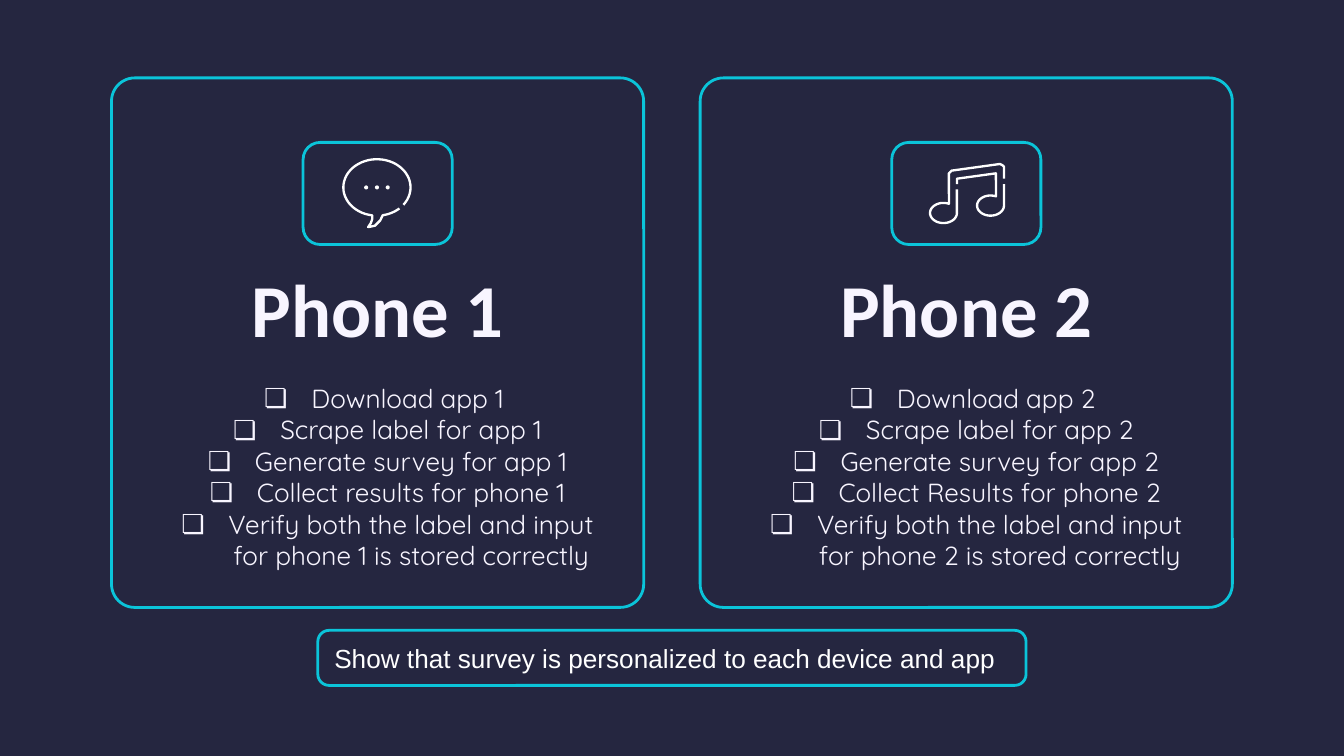
from dataclasses import dataclass
from math import cos, radians, sin

from lxml import etree
from pptx import Presentation
from pptx.dml.color import RGBColor
from pptx.enum.shapes import MSO_SHAPE
from pptx.enum.text import MSO_ANCHOR, MSO_AUTO_SIZE, PP_ALIGN
from pptx.oxml.ns import qn
from pptx.util import Inches, Pt

ROUNDED, OVAL = MSO_SHAPE.ROUNDED_RECTANGLE, MSO_SHAPE.OVAL
MIDDLE = MSO_ANCHOR.MIDDLE
LEFT, CENTER = PP_ALIGN.LEFT, PP_ALIGN.CENTER
NO_FIT, SHRINK = MSO_AUTO_SIZE.NONE, MSO_AUTO_SIZE.TEXT_TO_FIT_SHAPE


@dataclass(frozen=True)
class Theme:
    background: RGBColor = RGBColor.from_string("252640")
    accent: RGBColor = RGBColor.from_string("0BC4D9")
    text: RGBColor = RGBColor.from_string("F8F5FF")
    white: RGBColor = RGBColor.from_string("FFFFFF")
    heading: tuple = ("Calibri", 40, True)
    steps: tuple = ("Quicksand", 14, False)
    note: tuple = ("Arial", 14, False)
    border: float = 1.5
    icon_stroke: float = 1.25


theme = Theme()

# Grid: two cards between equal side margins
slide_w, slide_h = 10, 5.625
margin, card_top, card_w, card_h = 0.83, 0.58, 3.96, 3.94
card_pitch = slide_w - 2 * margin - card_w
badge_top, badge_w, badge_h = 1.06, 1.11, 0.76
text_w, heading_top, heading_h, steps_top, steps_h = 3.55, 2.03, 0.52, 2.73, 1.63
note_top, note_w, note_h = 4.69, 5.27, 0.41


def add_frame(left, top, width, height, rounding):
    frame = slide.shapes.add_shape(
        ROUNDED, Inches(left), Inches(top), Inches(width), Inches(height))
    frame.adjustments[0] = rounding
    frame.shadow.inherit = False
    frame.fill.background()
    frame.line.color.rgb = theme.accent
    frame.line.width = Pt(theme.border)
    return frame


def write(holder, lines, style, color, align, fit=NO_FIT, bullet=None, after=0):
    frame = holder.text_frame
    frame.word_wrap = True
    frame.auto_size = fit
    frame.vertical_anchor = MIDDLE
    frame.margin_left = frame.margin_right = Inches(0.1)
    frame.margin_top = frame.margin_bottom = Inches(0.1)
    for number, line in enumerate(lines):
        paragraph = frame.add_paragraph() if number else frame.paragraphs[0]
        paragraph.alignment = align
        paragraph.space_before = Pt(0)
        paragraph.space_after = Pt(after)
        if bullet:
            properties = paragraph._p.get_or_add_pPr()
            properties.set("marL", str(Inches(0.5)))
            properties.set("indent", str(-Inches(0.35)))
            tint = etree.SubElement(properties, qn("a:buClr"))
            etree.SubElement(tint, qn("a:srgbClr"), val=str(color))
            etree.SubElement(properties, qn("a:buFont"), typeface=style[0])
            etree.SubElement(properties, qn("a:buChar"), char=bullet)
        run = paragraph.add_run()
        run.text = line
        run.font.name, run.font.bold = style[0], style[2]
        run.font.size = Pt(style[1])
        run.font.color.rgb = color


prs = Presentation()
prs.slide_width, prs.slide_height = Inches(slide_w), Inches(slide_h)
slide = prs.slides.add_slide(prs.slide_layouts.get_by_name("Comparison"))
slide.background.fill.solid()
slide.background.fill.fore_color.rgb = theme.background
title = slide.shapes.title._element
title.getparent().remove(title)

# Cards with badge, heading and checklist
for column, results in enumerate(("results", "Results")):
    phone = column + 1
    card_left = margin + column * card_pitch
    add_frame(card_left, card_top, card_w, card_h, 0.044)
    add_frame(card_left + (card_w - badge_w) / 2, badge_top, badge_w, badge_h, 0.167)

    heading, steps = (slide.placeholders[2 * column + part] for part in (1, 2))
    for holder, top, height in ((heading, heading_top, heading_h),
                                (steps, steps_top, steps_h)):
        holder.left = Inches(card_left + (card_w - text_w) / 2)
        holder.top, holder.width, holder.height = (
            Inches(top), Inches(text_w), Inches(height))
    write(heading, [f"Phone {phone}"], theme.heading, theme.text, CENTER, after=12)
    write(steps, [
        f"Download app {phone} ",
        f"Scrape label for app {phone}",
        f"Generate survey for app {phone}",
        f"Collect {results} for phone {phone}",
        f"Verify both the label and input for phone {phone} is stored correctly",
    ], theme.steps, theme.text, CENTER, fit=SHRINK, bullet="❏")

# Closing note
note = add_frame((slide_w - note_w) / 2, note_top, note_w, note_h, 0.205)
write(note, ["Show that survey is personalized to each device and app"],
      theme.note, theme.white, LEFT)

# Icon strokes: points, and arcs as (centre x, centre y, radii, from, to degrees)
bubble = (2.805, 1.395, 0.25, 0.21)
speech_icon = [[
    (*bubble, 38, -262),
    (2.77, 1.63), (2.76, 1.66), (2.74, 1.69), (2.79, 1.68), (2.83, 1.64),
    (*bubble, 80, 48),
]]
note_head = (0.1, 0.075)
music_icon = [
    [(7.12, 1.41), (7.02, 1.585, *note_head, 0, 294), (7.06, 1.29), (7.08, 1.27),
     (7.44, 1.22), (7.46, 1.23), (7.47, 1.24), (7.47, 1.33)],
    [(7.47, 1.37), (7.37, 1.53, *note_head, 0, 294), (7.41, 1.29),
     (7.12, 1.33), (7.12, 1.37)],
]
arc_steps = 48
for icon in (speech_icon, music_icon):
    group = slide.shapes.add_group_shape()
    for stroke in icon:
        points = []
        for piece in stroke:
            if len(piece) == 2:
                points.append(piece)
                continue
            x, y, radius_x, radius_y, start, end = piece
            for step in range(arc_steps + 1):
                angle = radians(start + (end - start) * step / arc_steps)
                points.append((x + radius_x * cos(angle), y + radius_y * sin(angle)))
        # Freeform vertices are whole numbers, so they are given in EMU
        vertices = [(Inches(x), Inches(y)) for x, y in points]
        builder = group.shapes.build_freeform(*vertices[0])
        builder.add_line_segments(vertices[1:], close=False)
        outline = builder.convert_to_shape()
        outline.shadow.inherit = False
        outline.fill.background()
        outline.line.color.rgb = theme.white
        outline.line.width = Pt(theme.icon_stroke)
    if icon is speech_icon:
        for dot in range(3):
            ellipsis_dot = group.shapes.add_shape(
                OVAL, Inches(2.71 + 0.08 * dot), Inches(1.38), Inches(0.03), Inches(0.03))
            ellipsis_dot.shadow.inherit = False
            ellipsis_dot.fill.solid()
            ellipsis_dot.fill.fore_color.rgb = theme.white
            ellipsis_dot.line.fill.background()

prs.save("out.pptx")
